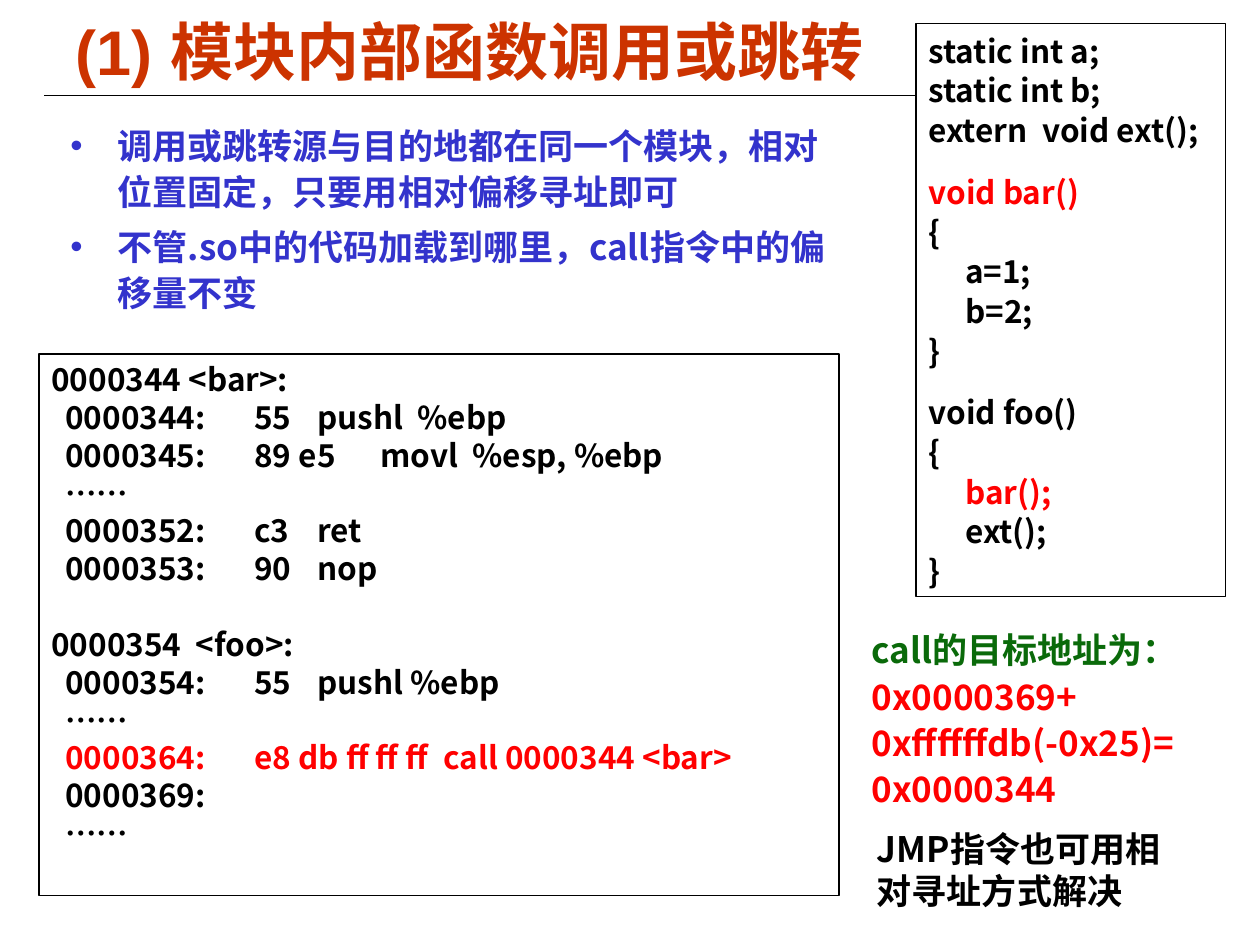
import pptx
import pptx.util
import pptx.dml.color
import pptx.enum.shapes
import pptx.enum.text
import pptx.oxml
import pptx.oxml.ns
from lxml import etree

Pt = pptx.util.Pt
SANS = "Noto Sans CJK SC"
BLACK, RED, GREEN, BLUE, RUST = "000000", "FF0000", "0A6A0A", "3333CC", "CC3300"

CODE = [
    ("static int a;", BLACK, 0, 0),
    ("static int b;", BLACK, 0, 0),
    ("extern  void ext();", BLACK, 0, 0),
    ("void bar()", RED, 0, 12.6),
    ("{", BLACK, 0, 0),
    ("a=1;", BLACK, 21, 0),
    ("b=2;", BLACK, 21, 0),
    ("}", BLACK, 0, 0),
    ("void foo()", BLACK, 0, 12.6),
    ("{", BLACK, 0, 0),
    ("bar();", RED, 21, 0),
    ("ext();", BLACK, 21, 0),
    ("}", BLACK, 0, 0),
]

ASM = [
    ("0000344 <bar>:", BLACK, 0, 0),
    ("0000344:\t55\tpushl  %ebp", BLACK, 8, 0, 240),
    ("0000345:\t89 e5\tmovl  %esp, %ebp", BLACK, 8, 0, 216),
    ("……", BLACK, 8, 0),
    ("0000352:\tc3\tret", BLACK, 8, 0, 240),
    ("0000353:\t90\tnop", BLACK, 8, 0, 240),
    ("0000354  <foo>:", BLACK, 0, 21.7),
    ("0000354:\t55\tpushl %ebp", BLACK, 8, 0, 244),
    ("……", BLACK, 8, 0),
    ("0000364:\te8 db ff ff ff\tcall 0000344 <bar>", RED, 8, 0, 224),
    ("0000369:", BLACK, 8, 0),
    ("……", BLACK, 8, 0),
]

SUM = [
    ("call的目标地址为：", GREEN, 0, 2.5),
    ("0x0000369+", RED, 0, 2.5),
    ("0xffffffdb(-0x25)=", RED, 0, 2.5),
    ("0x0000344", RED, 0, 2.5),
]

NOTE = [("JMP指令也可用相对寻址方式解决", BLACK, 0, 12.5)]

POINTS = [
    "调用或跳转源与目的地都在同一个模块，相对位置固定，只要用相对偏移寻址即可",
    "不管.so中的代码加载到哪里，call指令中的偏移量不变",
]


def paint(part, tint):
    part.rgb = pptx.dml.color.RGBColor.from_string(tint)


def style(para, size, tint, face=SANS):
    para.alignment = pptx.enum.text.PP_ALIGN.LEFT
    for run in para.runs:
        font = run.font
        font.size, font.bold, font.name = Pt(size), True, face
        font.fill.solid()
        paint(font.fill.fore_color, tint)
        tag = pptx.oxml.ns.qn("a:ea")
        etree.SubElement(font._element, tag).set("typeface", SANS)


def indent(para, left, hang=0):
    props = para._p.get_or_add_pPr()
    props.set("marL", str(Pt(left)))
    props.set("indent", str(Pt(hang)))


def add_tabs(para, stops):
    props = para._p.get_or_add_pPr()
    tabs = etree.SubElement(props, pptx.oxml.ns.qn("a:tabLst"))
    for stop in stops:
        tab = etree.SubElement(tabs, pptx.oxml.ns.qn("a:tab"))
        tab.set("pos", str(Pt(stop)))
        tab.set("algn", "l")


def place(shape, left, top, width, height):
    shape.left, shape.top = Pt(left), Pt(top)
    shape.width, shape.height = Pt(width), Pt(height)


def write(shape, rows, size, space=1.0):
    frame = shape.text_frame
    frame.word_wrap = True
    frame.vertical_anchor = pptx.enum.text.MSO_ANCHOR.TOP
    frame.text = "\n".join(row[0] for row in rows)
    for para, (_, tint, left, gap, *stops) in zip(frame.paragraphs, rows):
        style(para, size, tint)
        indent(para, left)
        para.line_spacing = space
        para.space_before = Pt(gap)
        if stops:
            add_tabs(para, [104] + stops)


def add_title(slide):
    title = slide.shapes.title
    place(title, 36, 6.5, 648, 44)
    frame = title.text_frame
    frame.text = "(1) 模块内部函数调用或跳转"
    frame.auto_size = pptx.enum.text.MSO_AUTO_SIZE.NONE
    frame.vertical_anchor = pptx.enum.text.MSO_ANCHOR.MIDDLE
    style(frame.paragraphs[0], 36, RUST, "Arial")


def add_list(slide):
    body = slide.placeholders[1]
    place(body, 33, 65, 458, 121.5)
    frame = body.text_frame
    frame.text = "\n".join(POINTS)
    frame.auto_size = pptx.enum.text.MSO_AUTO_SIZE.NONE
    for para in frame.paragraphs:
        style(para, 20, BLUE)
        indent(para, 27, -27)
        para.line_spacing = 1.1
        para.space_before = Pt(5)


def add_rule(slide):
    kind = pptx.enum.shapes.MSO_CONNECTOR.STRAIGHT
    rule = slide.shapes.add_connector(kind, Pt(25.2), Pt(54.7), Pt(694.8), Pt(54.7))
    rule.line.width = Pt(0.75)
    paint(rule.line.color, BLACK)
    etree.SubElement(rule._element.spPr, pptx.oxml.ns.qn("a:effectLst"))


def add_box(slide, area, rows, space=1.0, fill=None):
    kind = pptx.enum.shapes.MSO_SHAPE.RECTANGLE
    box = slide.shapes.add_shape(kind, *map(Pt, area))
    box.shadow.inherit = False
    if fill:
        box.fill.solid()
        paint(box.fill.fore_color, fill)
    else:
        box.fill.background()
    box.line.width = Pt(0.75)
    paint(box.line.color, BLACK)
    write(box, rows, 18, space)


def add_text(slide, area, rows):
    write(slide.shapes.add_textbox(*map(Pt, area)), rows, 20)


def main():
    deck = pptx.Presentation()
    deck.slide_width, deck.slide_height = Pt(720), Pt(540)
    slide = deck.slides.add_slide(deck.slide_layouts[1])
    add_title(slide)
    add_list(slide)
    add_rule(slide)
    add_box(slide, (523.5, 13.5, 177, 327.5), CODE, 1.05, "FFFFFF")
    add_box(slide, (22.3, 202.3, 457.2, 309.6), ASM)
    add_text(slide, (491, 355.7, 206, 111), SUM)
    add_text(slide, (494, 469.5, 183, 55.5), NOTE)
    deck.save("out.pptx")


if __name__ == "__main__":
    main()
